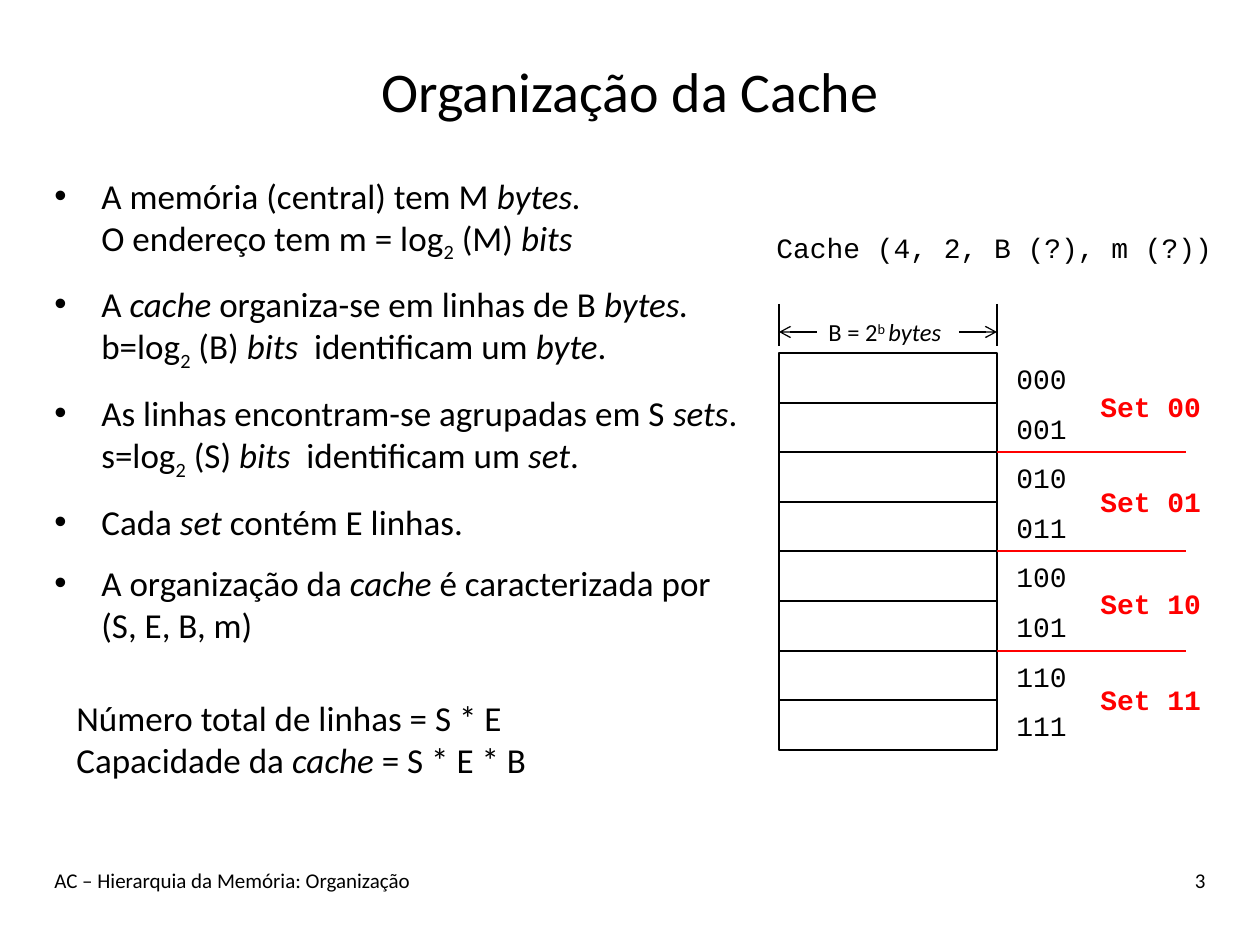
from itertools import groupby
from pptx import Presentation
from pptx.dml.color import RGBColor
from pptx.enum.shapes import MSO_CONNECTOR, MSO_SHAPE
from pptx.enum.text import MSO_ANCHOR, MSO_AUTO_SIZE, PP_ALIGN
from pptx.oxml.ns import qn
from pptx.util import Pt
from lxml.etree import SubElement

SCALE = 914400 / 126
COLORS = {"ink": "000000", "red": "FF0000"}
SANS, MONO = "Calibri", "Courier New"
MARKS = "/_^"  # toggle italic, subscript, superscript


def emu(*px):
    return [round(n * SCALE) for n in px]


def color(name):
    return RGBColor.from_string(COLORS[name])


def split(line):
    """Yield each piece of a line with its set of active marks."""
    on, chars = set(), []
    for char in line:
        if char in MARKS:
            on ^= {char}
        else:
            chars.append((char, frozenset(on)))
    for marks, part in groupby(chars, key=lambda pair: pair[1]):
        yield "".join(char for char, _ in part), marks


class Sheet:
    def __init__(self, slide):
        self.slide = slide

    def text(self, box, paras, size, font=SANS, ink="ink", bold=False,
             align=PP_ALIGN.LEFT, anchor=MSO_ANCHOR.TOP, wrap=True, bullet=False):
        frame = self.slide.shapes.add_textbox(*emu(*box)).text_frame
        fit = MSO_AUTO_SIZE.NONE if wrap else MSO_AUTO_SIZE.SHAPE_TO_FIT_TEXT
        form = {"word_wrap": wrap, "auto_size": fit, "vertical_anchor": anchor}
        for key, value in form.items():
            setattr(frame, key, value)
        for i, lines in enumerate(paras):
            para = frame.add_paragraph() if i else frame.paragraphs[0]
            para.alignment = align
            if bullet:
                self.bullet(para)
            for j, line in enumerate(lines.split("\n")):
                if j:
                    para.add_line_break()
                for part, marks in split(line):
                    self.run(para, part, marks, size, font, ink, bold)

    def run(self, para, part, marks, size, font, ink, bold):
        run = para.add_run()
        run.text = part
        form = {"name": font, "size": Pt(size), "bold": bold, "italic": "/" in marks}
        for key, value in form.items():
            setattr(run.font, key, value)
        run.font.color.rgb = color(ink)
        for mark, base in (("_", "-25000"), ("^", "30000")):
            if mark in marks:
                run.font._element.set("baseline", base)

    def bullet(self, para):
        para.space_before = Pt(10.8)
        props = para._p.get_or_add_pPr()
        dent = emu(47)[0]
        props.set("marL", str(dent))
        props.set("indent", str(-dent))
        SubElement(props, qn("a:buFont"), typeface="Arial")
        SubElement(props, qn("a:buChar"), char="•")

    def rect(self, box, width):
        shape = self.slide.shapes.add_shape(MSO_SHAPE.RECTANGLE, *emu(*box))
        shape.shadow.inherit = False
        shape.fill.background()
        shape.line.color.rgb = color("ink")
        shape.line.width = Pt(width)

    def line(self, ends, width, ink="ink", arrow=False):
        line = self.slide.shapes.add_connector(MSO_CONNECTOR.STRAIGHT, *emu(*ends))
        line.line.color.rgb = color(ink)
        line.line.width = Pt(width)
        if arrow:
            SubElement(line.line._get_or_add_ln(), qn("a:tailEnd"), type="arrow")
        SubElement(line._element.spPr, qn("a:effectLst"))


def main():
    deck = Presentation()
    deck.slide_width, deck.slide_height = emu(1260, 945)
    sheet = Sheet(deck.slides.add_slide(deck.slide_layouts[6]))

    # Title and footer
    sheet.text((42, 32, 1176, 116), ["Organização da Cache"], 32,
               align=PP_ALIGN.CENTER, anchor=MSO_ANCHOR.MIDDLE)
    sheet.text((42, 861, 882, 63), ["AC – Hierarquia da Memória: Organização"], 12)
    sheet.text((1050, 861, 168, 63), ["3"], 12, align=PP_ALIGN.RIGHT)

    # Main points
    sheet.text((42, 168, 717, 481), [
        "A memória (central) tem M /bytes./\nO endereço tem m = log_2_ (M) /bits/",
        "A /cache /organiza-se em linhas de B /bytes./\n"
        "b=log_2_ (B) /bits / identificam um /byte/.",
        "As linhas encontram-se agrupadas em S /sets/.\n"
        "s=log_2_ (S) /bits / identificam um /set/.",
        "Cada /set /contém E linhas.",
        "A organização da /cache /é caracterizada por\n(S, E, B, m)",
    ], 20, bullet=True)
    sheet.text((64, 690, 479, 97), ["Número total de linhas = S * E",
               "Capacidade da /cache/ = S * E * B"], 20, wrap=False)

    # Cache lines with their binary index
    left, right, top, pitch = 779, 997, 353, 49.6
    edges = [top + round(pitch * i) for i in range(9)]
    for i, (y, end) in enumerate(zip(edges, edges[1:])):
        sheet.rect((left, y, right - left, end - y), 1.5)
        sheet.text((1004, y + 2, 77, 47), [f"{i:03b}"], 16, MONO, wrap=False)

    # Width of a line
    sheet.text((816, 311, 142, 43), ["B = 2^b ^/bytes/"], 14, wrap=False)
    for x, start in ((left, 817), (right, 959)):
        sheet.line((x, 304, x, 346), 1)
        sheet.line((start, 332, x, 332), 0.75, arrow=True)

    # Sets of two lines
    for y in edges[2:8:2]:
        sheet.line((right, y, 1186, y), 1.5, "red")
    for i, y in enumerate((383, 478, 580, 676)):
        sheet.text((1088, y, 127, 47), [f"Set {i:02b}"], 16, MONO, "red",
                   bold=True, wrap=False)
    sheet.text((764, 224, 467, 47), ["Cache (4, 2, B (?), m (?))"], 16, MONO, wrap=False)

    deck.save("out.pptx")


if __name__ == "__main__":
    main()
